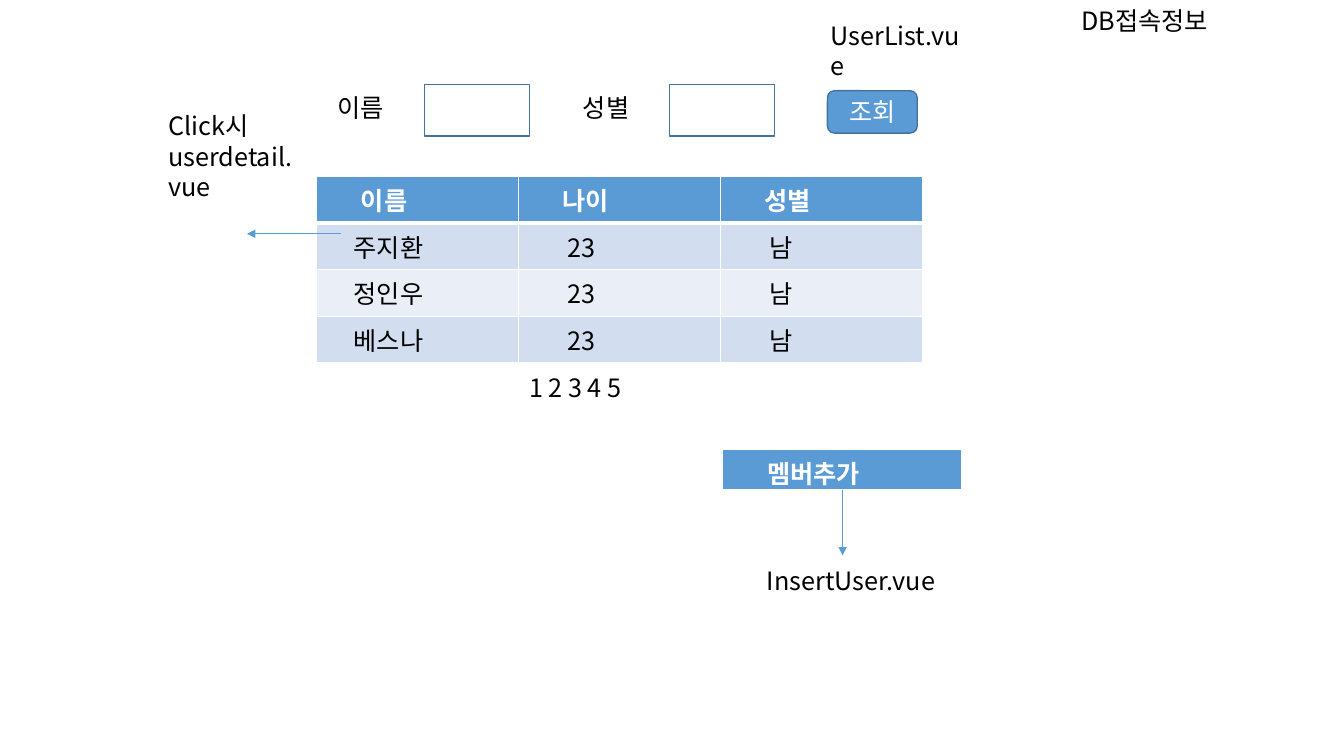
from dataclasses import dataclass

from lxml.etree import SubElement
from pptx import Presentation
from pptx.dml.color import RGBColor
from pptx.enum.shapes import MSO_CONNECTOR, MSO_SHAPE
from pptx.enum.text import MSO_ANCHOR, MSO_AUTO_SIZE, PP_ALIGN
from pptx.oxml.ns import qn
from pptx.util import Inches, Pt

FONT = "Noto Sans CJK KR"
COLORS = {"blue": "5B9BD5", "edge": "43739E", "dark": "D2DEEF",
          "pale": "EAEFF7", "white": "FFFFFF", "black": "000000"}

deck = Presentation()
deck.slide_width, deck.slide_height = Inches(13.333), Inches(7.5)
slide = deck.slides.add_slide(deck.slide_layouts[6])


# Lengths are percent shares of the slide's width and height
def across(share: float) -> int:
    return round(deck.slide_width * share / 100)


def down(share: float) -> int:
    return round(deck.slide_height * share / 100)


@dataclass
class Box:
    left: float
    top: float
    width: float
    height: float

    def place(self) -> tuple[int, int, int, int]:
        return (across(self.left), down(self.top),
                across(self.width), down(self.height))


@dataclass
class Note:
    text: str
    box: Box
    wrap: bool = True


@dataclass
class Arrow:
    start: tuple[float, float]
    end: tuple[float, float]


@dataclass
class Grid:
    box: Box
    rows: list[list[str]]
    heads: list[float]  # left margins in inches
    cells: list[float]
    foot: float = 0.05


def color(name: str) -> RGBColor:
    return RGBColor.from_string(COLORS[name])


def write(frame, text: str, ink: str = "black", bold: bool = False) -> None:
    line = frame.paragraphs[0]
    line.text = text
    font = line.font
    font.size, font.bold, font.name = Pt(18), bold, FONT
    font.color.rgb = color(ink)
    props = line._p.pPr.find(qn("a:defRPr"))
    SubElement(props, qn("a:ea")).set("typeface", FONT)


def draw_note(note: Note) -> None:
    frame = slide.shapes.add_textbox(*note.box.place()).text_frame
    frame.word_wrap = note.wrap
    frame.auto_size = MSO_AUTO_SIZE.SHAPE_TO_FIT_TEXT
    write(frame, note.text)


def draw_shape(kind: MSO_SHAPE, box: Box, text: str = "") -> None:
    shape = slide.shapes.add_shape(kind, *box.place())
    shape.shadow.inherit = False
    shape.line.color.rgb = color("edge")
    shape.line.width = Pt(1)
    if not text:
        shape.fill.background()
        return
    shape.fill.solid()
    shape.fill.fore_color.rgb = color("blue")
    write(shape.text_frame, text, "white")
    shape.text_frame.vertical_anchor = MSO_ANCHOR.MIDDLE
    shape.text_frame.paragraphs[0].alignment = PP_ALIGN.CENTER


def draw_arrow(arrow: Arrow) -> None:
    (x1, y1), (x2, y2) = arrow.start, arrow.end
    line = slide.shapes.add_connector(
        MSO_CONNECTOR.STRAIGHT, across(x1), down(y1), across(x2), down(y2))
    line.line.color.rgb = color("blue")
    line.line.width = Pt(0.5)
    SubElement(line.line._get_or_add_ln(), qn("a:tailEnd")).set("type", "triangle")
    SubElement(line._element.spPr, qn("a:effectLst"))


def edge_cell(cell, row: int) -> None:
    props = cell._tc.get_or_add_tcPr()
    sizes = {"L": 1, "R": 1, "T": 3 if row == 1 else 1, "B": 3 if row == 0 else 1}
    for side, size in sizes.items():
        edge = SubElement(props, qn(f"a:ln{side}"), w=str(Pt(size)))
        fill = SubElement(edge, qn("a:solidFill"))
        SubElement(fill, qn("a:srgbClr"), val=COLORS["white"])


def draw_grid(grid: Grid) -> None:
    table = slide.shapes.add_table(
        len(grid.rows), len(grid.rows[0]), *grid.box.place()).table
    table.first_row = table.horz_banding = False
    for r, texts in enumerate(grid.rows):
        head = r == 0
        for c, text in enumerate(texts):
            cell = table.cell(r, c)
            edge_cell(cell, r)
            cell.fill.solid()
            cell.fill.fore_color.rgb = color(
                "blue" if head else "dark" if r % 2 else "pale")
            cell.margin_left = Inches((grid.heads if head else grid.cells)[c])
            cell.margin_bottom = Inches(grid.foot)
            write(cell.text_frame, text, "white" if head else "black", head)


def main() -> None:
    # User list and add button
    draw_grid(Grid(Box(23.55, 23.33, 45.08, 21.6),
                   [["이름", "나이", "성별"], ["주지환", "23", "남"],
                    ["정인우", "23", "남"], ["베스나", "23", "남"]],
                   [0.44] * 3, [0.37, 0.49, 0.49]))
    draw_grid(Grid(Box(53.78, 59.47, 17.78, 4.53), [["멤버추가"]], [0.44], [], 0))

    # Search fields and button
    for i, name in enumerate(["이름", "성별"]):
        shift = i * 18.25
        draw_note(Note(name, Box(24.38 + shift, 11.6, 5.33, 5.33), False))
        draw_shape(MSO_SHAPE.RECTANGLE, Box(31.58 + shift, 11.2, 7.8, 6.8))
    draw_shape(MSO_SHAPE.ROUNDED_RECTANGLE, Box(61.57, 12, 6.68, 5.6), "조회")

    # Notes and page numbers
    for note in [
        Note("UserList.vue", Box(61.05, 2, 11.85, 5.33)),
        Note("Click시 userdetail.vue", Box(11.78, 14, 10.65, 13.47)),
        Note("InsertUser.vue", Box(56.33, 74.13, 19.43, 5.33)),
        Note("DB접속정보", Box(79.73, 0, 18.23, 9.47)),
        Note("1 2 3 4 5", Box(38.63, 48.53, 13.8, 5.33)),
    ]:
        draw_note(note)

    # Links to the other views
    for arrow in [Arrow((25.35, 30.93), (18.38, 30.93)),
                  Arrow((62.7, 64.8), (62.7, 73.47))]:
        draw_arrow(arrow)

    deck.save("out.pptx")


if __name__ == "__main__":
    main()
